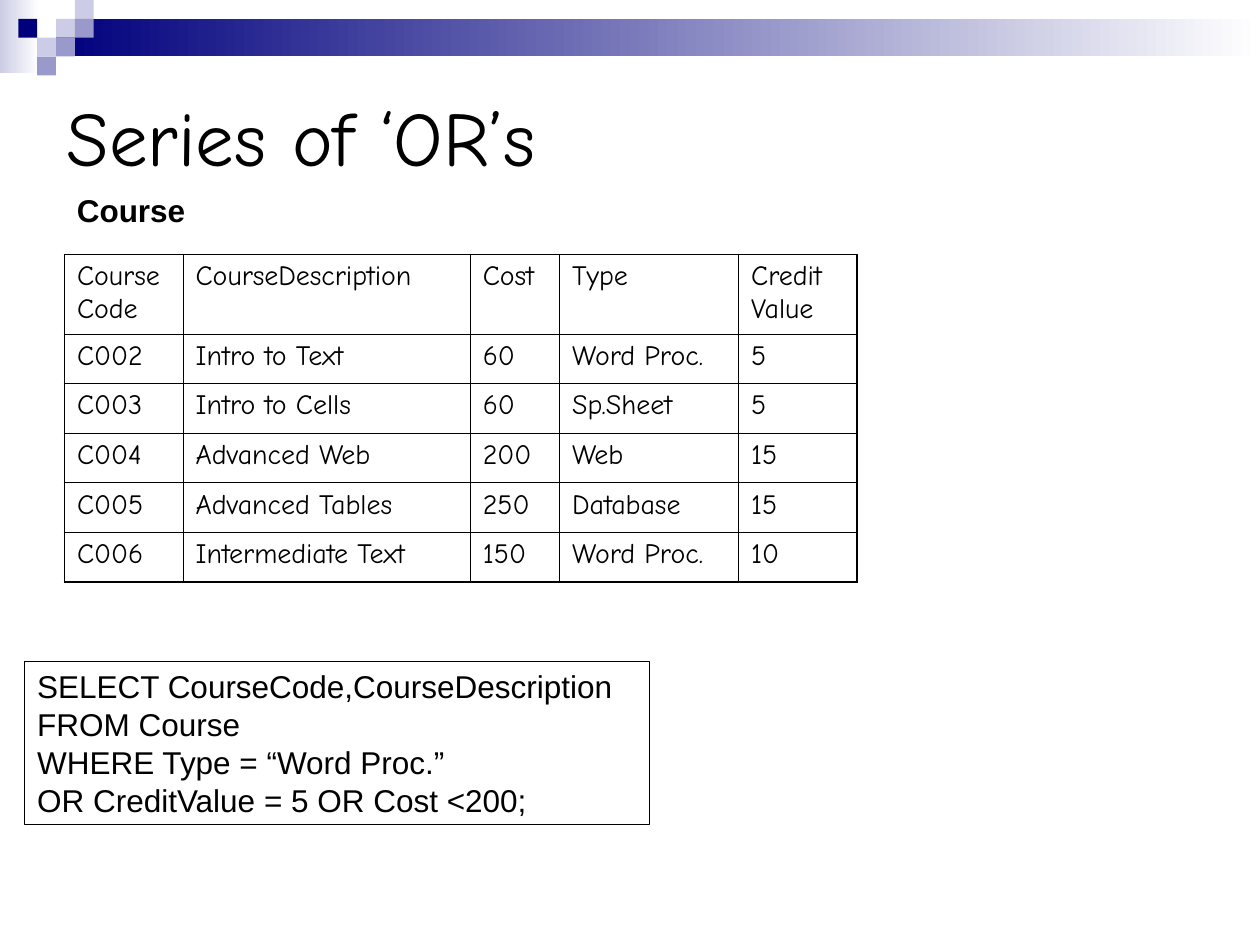
from lxml import etree
from pptx import Presentation
from pptx import util as u
from pptx.dml.color import RGBColor
from pptx.enum import shapes, text
from pptx.oxml.ns import qn

BLACK = RGBColor(0x00, 0x00, 0x00)
WHITE = RGBColor(0xFF, 0xFF, 0xFF)
NAVY = RGBColor(0x00, 0x00, 0x7D)
LILAC = RGBColor(0xCC, 0xCC, 0xE6)
VIOLET = RGBColor(0x99, 0x99, 0xCC)
HAND_FONT = "Comic Neue"
PLAIN_FONT = "Arial"
THIN, THICK = 0.45, 1.08

MOSAIC = [(2, 1, LILAC), (3, 0, LILAC), (3, 1, VIOLET), (1, 2, LILAC),
          (0, 1, NAVY), (2, 2, VIOLET), (1, 3, VIOLET)]
COURSES = [
    ("Course Code", "CourseDescription", "Cost", "Type", "Credit Value"),
    ("C002", "Intro to Text", "60", "Word Proc.", "5"),
    ("C003", "Intro to Cells", "60", "Sp.Sheet", "5"),
    ("C004", "Advanced Web", "200", "Web", "15"),
    ("C005", "Advanced Tables", "250", "Database", "15"),
    ("C006", "Intermediate Text", "150", "Word Proc.", "10"),
]
COLUMN_WIDTHS = [2.39, 5.79, 1.8, 3.61, 2.39]
ROW_HEIGHTS = [1.6] + [1.0] * 5
QUERY = """SELECT CourseCode,CourseDescription
FROM Course
WHERE Type = “Word Proc.”
OR CreditValue = 5 OR Cost <200;"""


def cm_box(*lengths):
    """Turn lengths in centimetres into slide units."""
    return [u.Cm(length) for length in lengths]


def format_text(frame, font_name, size, bold=False):
    """Left-align the text and give every run the same font."""
    for paragraph in frame.paragraphs:
        paragraph.alignment = text.PP_ALIGN.LEFT
        for run in paragraph.runs:
            run.font.name = font_name
            run.font.size = u.Pt(size)
            run.font.bold = bold
            run.font.color.rgb = BLACK


def add_block(slide, box):
    """Add a rectangle without outline or shadow."""
    block = slide.shapes.add_shape(shapes.MSO_SHAPE.RECTANGLE, *cm_box(*box))
    block.shadow.inherit = False
    block.line.fill.background()
    return block


def add_fade(slide, box, start):
    """Add a rectangle that fades to white from left to right."""
    fill = add_block(slide, box).fill
    fill.gradient()
    fill.gradient_angle = 0
    for stop, color in zip(fill.gradient_stops, (start, WHITE)):
        stop.color.rgb = color


def add_banner(slide, left, top, width, tile=0.38):
    """Draw the fading band and the mosaic at the head of the slide."""
    mosaic_left = left + 0.37
    band_left = mosaic_left + 2 * tile
    add_fade(slide, (left, top, 0.79, 1.47), LILAC)
    add_fade(slide, (band_left, top + tile, left + width - band_left, 2 * tile), NAVY)
    for column, row, color in MOSAIC:
        block = add_block(slide, (mosaic_left + column * tile, top + row * tile, tile, tile))
        block.fill.solid()
        block.fill.fore_color.rgb = color


def add_heading(slide, left, top, width, height):
    """Fill the title placeholder and bring it in front of the banner."""
    title = slide.shapes.title
    title.left, title.top, title.width, title.height = cm_box(left, top, width, height)
    frame = title.text_frame
    frame.text = "Series of ‘OR’s"
    frame.auto_size = text.MSO_AUTO_SIZE.NONE
    frame.vertical_anchor = text.MSO_ANCHOR.MIDDLE
    format_text(frame, HAND_FONT, 44)
    title._element.getparent().append(title._element)


def set_borders(cell, left, right, top, bottom):
    """Give the cell black borders of the given widths in points."""
    properties = cell._tc.get_or_add_tcPr()
    for side, width in zip("LRTB", (left, right, top, bottom)):
        line = etree.SubElement(properties, qn(f"a:ln{side}"), w=str(u.Pt(width)))
        fill = etree.SubElement(line, qn("a:solidFill"))
        etree.SubElement(fill, qn("a:srgbClr"), val=str(BLACK))


def add_courses(slide, left, top):
    """Build the course table with a heavier outer frame."""
    last_row, last_column = len(COURSES) - 1, len(COLUMN_WIDTHS) - 1
    size = sum(COLUMN_WIDTHS), sum(ROW_HEIGHTS)
    table = slide.shapes.add_table(
        len(COURSES), len(COLUMN_WIDTHS), *cm_box(left, top, *size)).table
    table.first_row = table.horz_banding = False
    for column, width in zip(table.columns, COLUMN_WIDTHS):
        column.width = u.Cm(width)
    for r, (height, course) in enumerate(zip(ROW_HEIGHTS, COURSES)):
        table.rows[r].height = u.Cm(height)
        for c, value in enumerate(course):
            cell = table.cell(r, c)
            cell.text_frame.text = value
            format_text(cell.text_frame, HAND_FONT, 16)
            edges = (c == 0, c == last_column, r == 0, r == last_row)
            set_borders(cell, *(THICK if edge else THIN for edge in edges))
            if r == 0:
                cell.fill.background()
            else:
                cell.fill.solid()
                cell.fill.fore_color.rgb = WHITE


def add_query(slide, left, top, width, height):
    """Place the SQL statement in an outlined box."""
    query = add_block(slide, (left, top, width, height))
    query.fill.background()
    query.line.color.rgb = BLACK
    query.line.width = u.Pt(0.75)
    frame = query.text_frame
    frame.text = QUERY
    frame.word_wrap = True
    frame.auto_size = text.MSO_AUTO_SIZE.SHAPE_TO_FIT_TEXT
    frame.vertical_anchor = text.MSO_ANCHOR.TOP
    format_text(frame, PLAIN_FONT, 18)


def add_table_name(slide, left, top, width, height):
    """Write the table's name above it."""
    frame = slide.shapes.add_textbox(*cm_box(left, top, width, height)).text_frame
    frame.text = "Course"
    frame.word_wrap = True
    frame.auto_size = text.MSO_AUTO_SIZE.SHAPE_TO_FIT_TEXT
    format_text(frame, PLAIN_FONT, 18, bold=True)


def main():
    """Build the slide and save it."""
    deck = Presentation()
    deck.slide_width, deck.slide_height = cm_box(25.4, 19.05)
    slide = deck.slides.add_slide(deck.slide_layouts.get_by_name("Title Only"))
    add_banner(slide, 0, 0, 25.4)
    add_heading(slide, 1.09, 1.32, 22.86, 2.84)
    add_courses(slide, 1.3, 5.13)
    add_query(slide, 0.5, 13.33, 12.6, 3.3)
    add_table_name(slide, 1.3, 3.73, 7.4, 1.02)
    deck.save("out.pptx")


if __name__ == "__main__":
    main()
